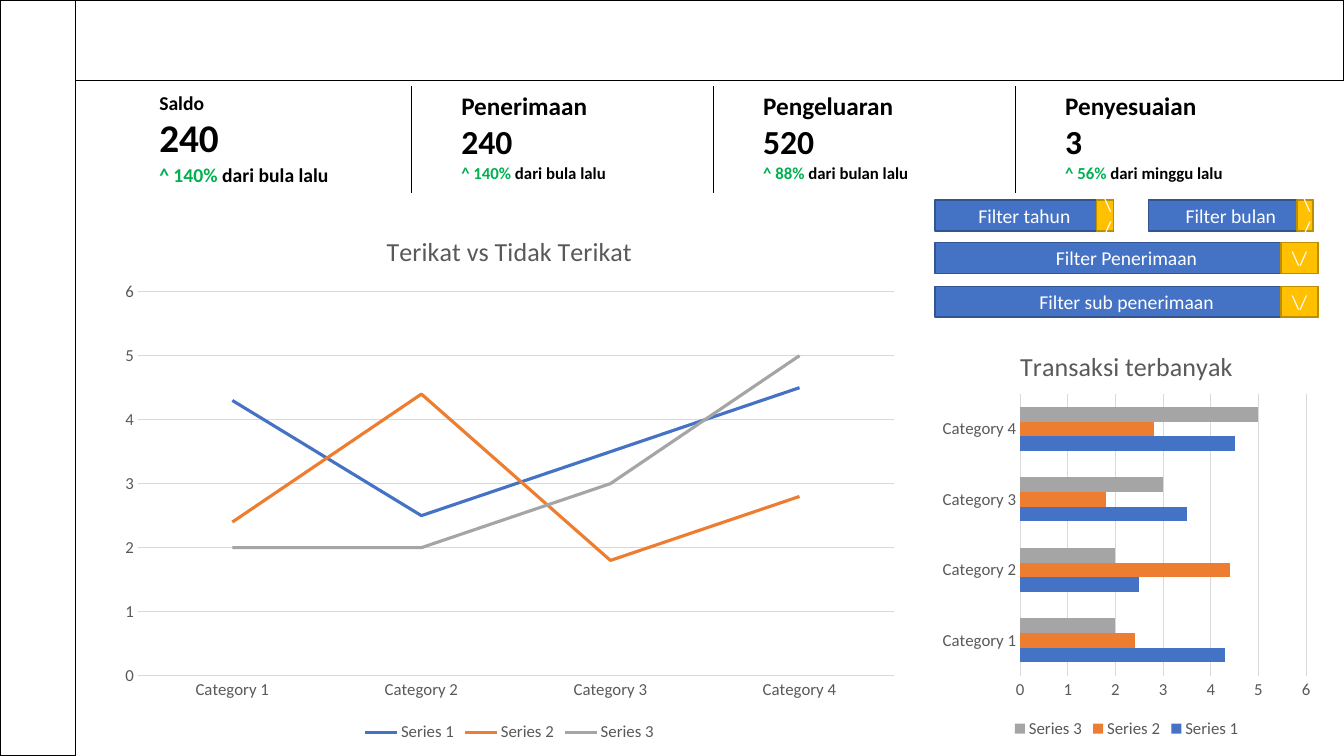
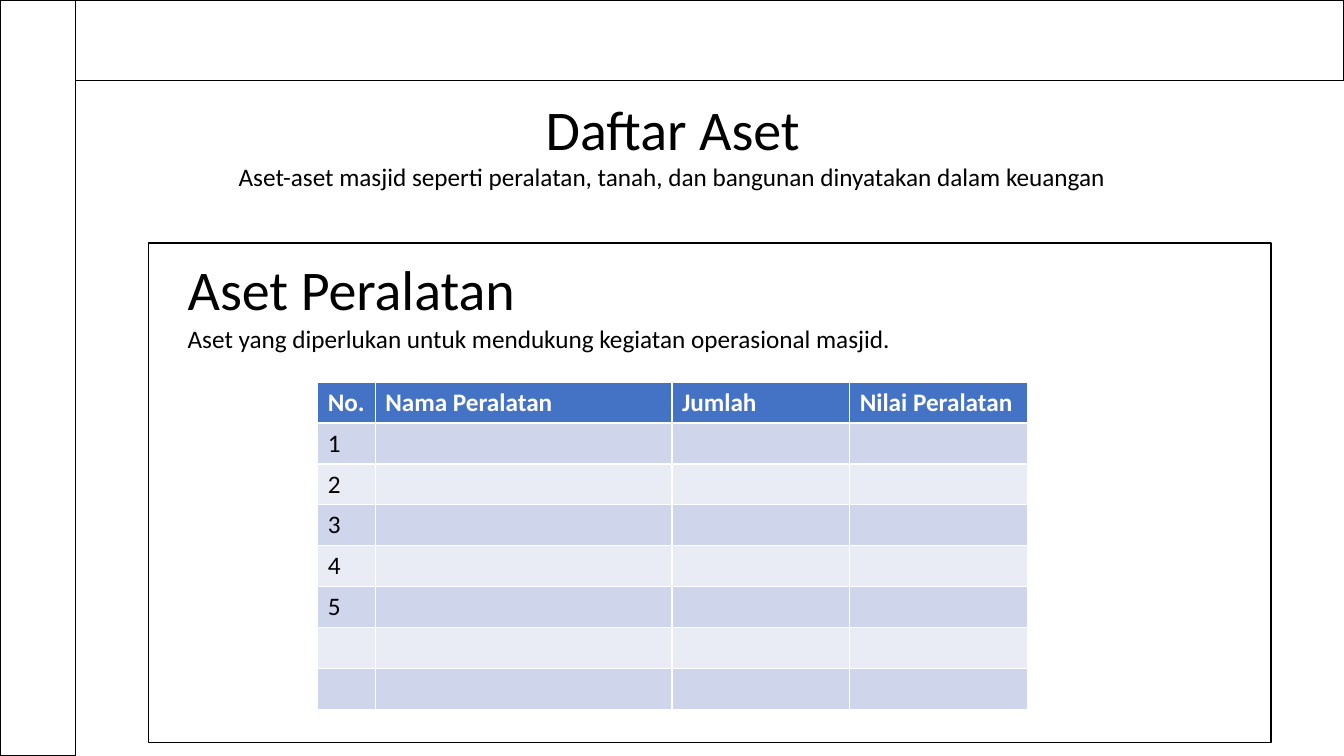
import pptx
import pptx.chart.data
import pptx.dml.color
import pptx.enum.chart
import pptx.enum.shapes
import pptx.enum.text
import pptx.util
from lxml import etree
from pptx.oxml.ns import qn

Pt = pptx.util.Pt
ALIGN = pptx.enum.text.PP_ALIGN
CHART = pptx.enum.chart.XL_CHART_TYPE

FONT = "Calibri"
BLACK, WHITE, GREY, GRID = "000000", "FFFFFF", "595959", "D9D9D9"
BLUE, BLUE_EDGE, GOLD, GOLD_EDGE, GREEN = "4472C4", "325491", "FFC000", "BD8E00", "00B050"
SERIES_COLOURS = (BLUE, "ED7D31", "A5A5A5")
ROW_BANDS = ("CFD5EA", "E9EBF5")

SLIDE_W, SLIDE_H = 960, 540
HEADER_H, SIDEBAR_W = 57.6, 54

# heading, value, change, period, sizes of the three lines
METRICS = [
    ("Saldo", "240", "^ 140%", " dari bula lalu", (14, 28, 14)),
    ("Penerimaan", "240", "^ 140%", " dari bula lalu", (18, 24, 12)),
    ("Pengeluaran", "520", "^ 88%", " dari bulan lalu", (18, 24, 12)),
    ("Penyesuaian", "3", "^ 56%", " dari minggu lalu", (18, 24, 12)),
]
# label, left, top, width, arrow width
FILTERS = [
    ("Filter tahun", 668, 143, 127.5, 12.5),
    ("Filter bulan", 820.5, 143, 117.5, 11.5),
    ("Filter Penerimaan", 668, 173.3, 273.5, 26.5),
    ("Filter sub penerimaan", 668, 204.6, 273.5, 26.5),
]
FILTER_H = 22
CATEGORIES = ["Category 1", "Category 2", "Category 3", "Category 4"]
SERIES = {
    "Series 1": (4.3, 2.5, 3.5, 4.5),
    "Series 2": (2.4, 4.4, 1.8, 2.8),
    "Series 3": (2, 2, 3, 5),
}
# kind, title, box, plot area as shares of the chart (x, y, w, h)
CHARTS = [
    (CHART.LINE, "Terikat vs Tidak Terikat", (78.5, 152, 571, 381), (0.035, 0.148, 0.946, 0.72)),
    (CHART.BAR_CLUSTERED, "Transaksi terbanyak", (668, 235.5, 273.5, 295), (0.222, 0.155, 0.747, 0.683)),
]

PAGE_TITLE = "Daftar Aset"
# text, box, size, alignment
ASSET_TEXTS = [
    ("Aset-aset masjid seperti peralatan, tanah, dan bangunan dinyatakan dalam keuangan",
     (127, 111.6, 706, 29), 18, ALIGN.CENTER),
    ("Aset Peralatan", (127, 178.5, 265, 55.5), 40, ALIGN.LEFT),
    ("Aset yang diperlukan untuk mendukung kegiatan operasional masjid.",
     (127, 227.5, 634, 29), 18, ALIGN.LEFT),
]
ASSET_COLUMNS = [("No.", 41), ("Nama Peralatan", 212), ("Jumlah", 127), ("Nilai Peralatan", 127)]
ASSET_NUMBERS = ["1", "2", "3", "4", "5", "", ""]
ASSET_ROW_H = 29.2


def rgb(colour):
    return pptx.dml.color.RGBColor.from_string(colour)


def pts(*lengths):
    return [Pt(n) for n in lengths]


def style(font, size, colour=BLACK, bold=False):
    font.name, font.size, font.bold = FONT, Pt(size), bold
    font.color.rgb = rgb(colour)


def paint(part, colour):
    part.fill.solid()
    part.fill.fore_color.rgb = rgb(colour)


def write(tf, text, size, colour=BLACK, align=ALIGN.LEFT, bold=False):
    tf.text = text
    p = tf.paragraphs[0]
    p.alignment = align
    style(p.font, size, colour, bold)
    for r in p.runs:
        style(r.font, size, colour, bold)


def add_box(shapes, box, fill, edge):
    sp = shapes.add_shape(pptx.enum.shapes.MSO_SHAPE.RECTANGLE, *pts(*box))
    sp.shadow.inherit = False
    paint(sp, fill)
    sp.line.color.rgb = rgb(edge)
    sp.line.width = Pt(1)
    return sp


def add_slide(prs, layout):
    """Add a slide with the header band and the side band."""
    s = prs.slides.add_slide(prs.slide_layouts.get_by_name(layout))
    for box in ((0, 0, SLIDE_W, HEADER_H), (0, 0, SIDEBAR_W, SLIDE_H)):
        add_box(s.shapes, box, WHITE, BLACK)
    return s


def edge_cell(cell, side):
    """Give one side (lnL or lnR) of a cell a thin black border."""
    ln = etree.Element(qn("a:" + side), w=str(Pt(1)))
    fill = etree.SubElement(ln, qn("a:solidFill"))
    etree.SubElement(fill, qn("a:srgbClr"), val=BLACK)
    tc_pr = cell._tc.get_or_add_tcPr()
    tc_pr.insert(len(tc_pr.findall(qn("a:lnL"))), ln)


def add_metrics(s):
    width = 215.7
    table = s.shapes.add_table(1, len(METRICS), *pts(78.5, 62, width * len(METRICS), 75)).table
    table.first_row = table.horz_banding = False
    for i, (heading, value, change, period, sizes) in enumerate(METRICS):
        table.columns[i].width = Pt(width)
        cell = table.cell(0, i)
        cell.fill.background()
        cell.margin_left = Pt(35.3)
        lines = [[(heading, BLACK)], [(value, BLACK)], [(change, GREEN), (period, BLACK)]]
        tf = cell.text_frame
        for n, (runs, size) in enumerate(zip(lines, sizes)):
            p = tf.add_paragraph() if n else tf.paragraphs[0]
            for text, colour in runs:
                r = p.add_run()
                r.text = text
                style(r.font, size, colour, bold=True)
        if i > 0:
            edge_cell(cell, "lnL")
        if i < len(METRICS) - 1:
            edge_cell(cell, "lnR")


def add_filter(s, label, left, top, width, arrow_w):
    group = s.shapes.add_group_shape()
    parts = [
        (label, left, width, BLUE, BLUE_EDGE),
        (r"\/", left + width - arrow_w, arrow_w, GOLD, GOLD_EDGE),
    ]
    for text, x, w, fill, edge in parts:
        sp = add_box(group.shapes, (x, top, w, FILTER_H), fill, edge)
        sp.text_frame.word_wrap = True
        sp.text_frame.vertical_anchor = pptx.enum.text.MSO_ANCHOR.MIDDLE
        write(sp.text_frame, text, 14, WHITE, ALIGN.CENTER)


def place_plot(chart, shares):
    """Fix the inner plot area at the given shares of the chart."""
    plot_area = chart._chartSpace.chart.plotArea
    for old in plot_area.findall(qn("c:layout")):
        plot_area.remove(old)
    layout = etree.Element(qn("c:layout"))
    manual = etree.SubElement(layout, qn("c:manualLayout"))
    settings = [("layoutTarget", "inner"), ("xMode", "edge"), ("yMode", "edge")]
    for name, value in settings + list(zip("xywh", shares)):
        etree.SubElement(manual, qn("c:" + name), val=str(value))
    plot_area.insert(0, layout)


def add_chart(s, kind, title, box, plot_shares):
    data = pptx.chart.data.CategoryChartData()
    data.categories = CATEGORIES
    for name, values in SERIES.items():
        data.add_series(name, values)
    chart = s.shapes.add_chart(kind, *pts(*box), data).chart
    style(chart.font, 12, GREY)
    chart.has_title = True
    write(chart.chart_title.text_frame, title, 18.6, GREY, ALIGN.CENTER)
    chart.chart_title.include_in_layout = False
    chart.has_legend = True
    chart.legend.position = pptx.enum.chart.XL_LEGEND_POSITION.BOTTOM
    chart.legend.include_in_layout = False
    style(chart.legend.font, 12, GREY)

    cat, val = chart.category_axis, chart.value_axis
    for axis in (cat, val):
        axis.major_tick_mark = axis.minor_tick_mark = pptx.enum.chart.XL_TICK_MARK.NONE
        style(axis.tick_labels.font, 12, GREY)
    val.minimum_scale, val.maximum_scale, val.major_unit = 0, 6, 1
    val.format.line.fill.background()
    for line in (cat.format.line, val.major_gridlines.format.line):
        line.color.rgb = rgb(GRID)
        line.width = Pt(0.75)

    plot = chart.plots[0]
    plot.vary_by_categories = False
    if kind == CHART.BAR_CLUSTERED:
        plot.gap_width = 182
    for series, colour in zip(plot.series, SERIES_COLOURS):
        if kind == CHART.LINE:
            series.smooth = False
            series.format.line.color.rgb = rgb(colour)
            series.format.line.width = Pt(2.25)
        else:
            paint(series.format, colour)
    place_plot(chart, plot_shares)


def add_asset_table(s):
    rows = [[name for name, _ in ASSET_COLUMNS]]
    rows += [[number, "", "", ""] for number in ASSET_NUMBERS]
    width = sum(w for _, w in ASSET_COLUMNS)
    box = pts(227, 273, width, ASSET_ROW_H * len(rows))
    table = s.shapes.add_table(len(rows), len(ASSET_COLUMNS), *box).table
    for column, (_, w) in zip(table.columns, ASSET_COLUMNS):
        column.width = Pt(w)
    for i, row in enumerate(rows):
        table.rows[i].height = Pt(ASSET_ROW_H)
        header = i == 0
        for j, text in enumerate(row):
            cell = table.cell(i, j)
            paint(cell, BLUE if header else ROW_BANDS[(i - 1) % 2])
            write(cell.text_frame, text, 18, WHITE if header else BLACK, bold=header)


def build_dashboard(prs):
    s = add_slide(prs, "Blank")
    add_metrics(s)
    for item in FILTERS:
        add_filter(s, *item)
    for item in CHARTS:
        add_chart(s, *item)


def build_assets(prs):
    s = add_slide(prs, "Title Only")
    add_box(s.shapes, (106, 173.5, 802, 357), WHITE, BLACK)
    title = s.shapes.title
    title.left, title.top, title.width, title.height = pts(348, 64, 265, 55.5)
    title.text_frame.vertical_anchor = pptx.enum.text.MSO_ANCHOR.TOP
    title.text_frame.auto_size = pptx.enum.text.MSO_AUTO_SIZE.NONE
    write(title.text_frame, PAGE_TITLE, 40, align=ALIGN.CENTER)
    for text, box, size, align in ASSET_TEXTS:
        tf = s.shapes.add_textbox(*pts(*box)).text_frame
        tf.word_wrap = True
        write(tf, text, size, align=align)
    add_asset_table(s)


def main():
    prs = pptx.Presentation()
    prs.slide_width, prs.slide_height = pts(SLIDE_W, SLIDE_H)
    build_dashboard(prs)
    build_assets(prs)
    prs.save("out.pptx")


if __name__ == "__main__":
    main()
